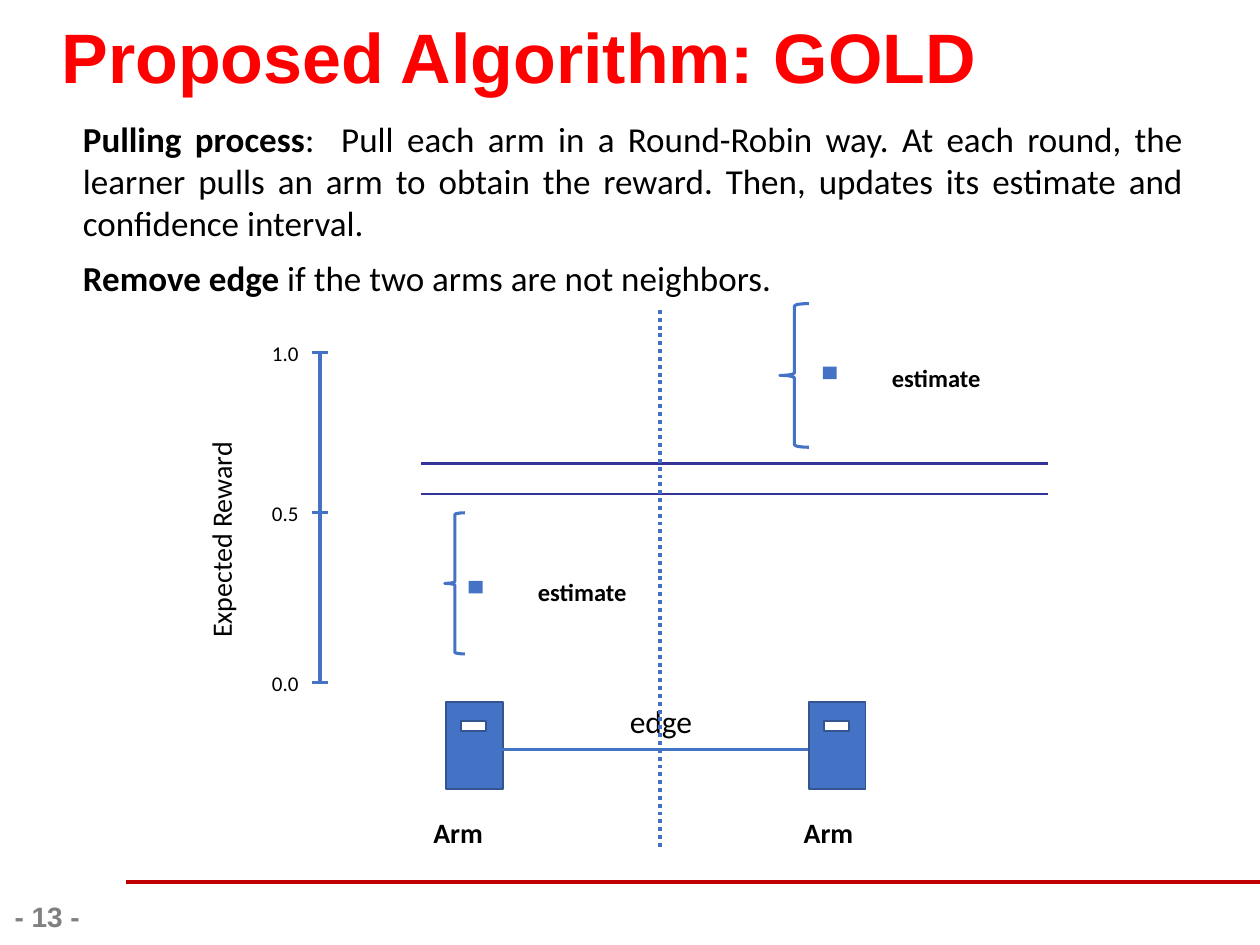
"""Build the slide on the pulling process of the GOLD algorithm."""
from lxml import etree
from pptx import Presentation
from pptx.dml.color import RGBColor
from pptx.enum.dml import MSO_LINE
from pptx.enum.shapes import MSO_CONNECTOR, MSO_SHAPE
from pptx.enum.text import MSO_ANCHOR, MSO_AUTO_SIZE, PP_ALIGN
from pptx.oxml import parse_xml
from pptx.oxml.ns import qn
from pptx.util import Pt

EMU_PER_PX = 9144
RED = RGBColor(0xFF, 0x00, 0x00)
DARK_RED = RGBColor(0xC0, 0x00, 0x00)
BLUE = RGBColor(0x44, 0x72, 0xC4)
EDGE_BLUE = RGBColor(0x32, 0x54, 0x91)
DOT_BLUE = RGBColor(0x43, 0x72, 0xC4)
INDIGO = RGBColor(0x33, 0x33, 0x99)
GRAY = RGBColor(0x80, 0x80, 0x80)
BLACK = RGBColor(0x00, 0x00, 0x00)
WHITE = RGBColor(0xFF, 0xFF, 0xFF)
STRAIGHT = MSO_CONNECTOR.STRAIGHT
RECTANGLE, LEFT_BRACE = MSO_SHAPE.RECTANGLE, MSO_SHAPE.LEFT_BRACE
ROUND_DOT = MSO_LINE.ROUND_DOT
MIDDLE, NO_FIT = MSO_ANCHOR.MIDDLE, MSO_AUTO_SIZE.NONE
LEFT, CENTER, JUSTIFY = PP_ALIGN.LEFT, PP_ALIGN.CENTER, PP_ALIGN.JUSTIFY
TITLE_SHADOW = (
    '<a:effectLst xmlns:a="http://schemas.openxmlformats.org/drawingml/2006/main">'
    '<a:outerShdw blurRad="38100" dist="38100" dir="2700000" algn="tl">'
    '<a:srgbClr val="000000"><a:alpha val="43137"/></a:srgbClr>'
    "</a:outerShdw></a:effectLst>"
)


def px(*lengths):
    return [length * EMU_PER_PX for length in lengths]


class Painter:
    """Hold the text style and the slide being drawn."""

    def __init__(self, slide, font):
        self.slide = slide
        self.font = font

    def add_spans(self, box, spans, align=LEFT, **style):
        para = box.text_frame.paragraphs[0]
        para.alignment = align
        for text, bold in spans:
            span = para.add_run()
            span.text = text
            values = {"name": self.font, "bold": bold, **style}
            color = values.pop("color", BLACK)
            for name, value in values.items():
                setattr(span.font, name, value)
            span.font.color.rgb = color

    def title(self, place, text, **style):
        box = self.slide.shapes.title
        box.left, box.top, box.width, box.height = px(*place)
        frame = {"vertical_anchor": MIDDLE, "auto_size": NO_FIT, "word_wrap": True,
                 "margin_left": 0, "margin_top": 0, "margin_right": 0, "margin_bottom": 0}
        for name, value in frame.items():
            setattr(box.text_frame, name, value)
        self.add_spans(box, [(text, True)], **style)
        properties = box.text_frame.paragraphs[0].runs[0].font._element
        properties.find(qn("a:solidFill")).addnext(parse_xml(TITLE_SHADOW))

    def text(self, place, spans, wrap=False, rotation=0, **style):
        box = self.slide.shapes.add_textbox(*px(*place))
        box.text_frame.word_wrap = wrap
        box.rotation = rotation
        self.add_spans(box, spans, **style)

    def shape(self, kind, place, fill=None, line=None, width=1):
        shape = self.slide.shapes.add_shape(kind, *px(*place))
        shape.shadow.inherit = False
        if fill is None:
            shape.fill.background()
        else:
            shape.fill.solid()
            shape.fill.fore_color.rgb = fill
        if line is None:
            shape.line.fill.background()
        else:
            shape.line.color.rgb = line
            shape.line.width = Pt(width)

    def line(self, ends, color=BLUE, width=1.75, dash=None):
        line = self.slide.shapes.add_connector(STRAIGHT, *px(*ends))
        line.line.color.rgb = color
        line.line.width = Pt(width)
        line.line.dash_style = dash
        etree.SubElement(line._element.spPr, qn("a:effectLst"))


def main():
    deck = Presentation()
    deck.slide_width, deck.slide_height = px(1000, 750)
    page = Painter(deck.slides.add_slide(deck.slide_layouts[5]), "Calibri")

    page.line((100, 700, 1000, 700), DARK_RED, 2)
    page.text((0, 709, 75, 41), [("- 13 -", True)], align=CENTER,
              name="Arial", size=Pt(16), color=GRAY)
    page.title((49, 0, 900, 88), "Proposed Algorithm: GOLD",
               name="Arial", size=Pt(40), color=RED)

    page.text((56, 88, 893, 111), [
        ("Pulling process", True),
        (":  Pull each arm in a Round-Robin way. At each round, the learner pulls an arm "
         "to obtain the reward. Then, updates its estimate and confidence interval.", False),
    ], wrap=True, align=JUSTIFY, size=Pt(20))
    page.text((56, 199, 580, 44), [
        ("Remove edge ", True), ("if the two arms are not neighbors.", False),
    ], size=Pt(20))

    page.line((254, 280, 254, 542), width=2)
    for label, y in (("1.0", 280), ("0.5", 407), ("0.0", 542)):
        page.line((248, y, 260, y))
        page.text((206, y - 15, 42, 30), [(label, False)], size=Pt(12))
    page.text((74, 396, 203, 37), [("Expected Reward", False)],
              wrap=True, rotation=270, size=Pt(16))

    for arm_left, label_left in ((354, 334), (642, 628)):
        page.shape(RECTANGLE, (arm_left, 557, 45, 69), BLUE, EDGE_BLUE)
        page.shape(RECTANGLE, (arm_left + 12, 572, 20, 8), WHITE, EDGE_BLUE)
        page.text((label_left, 642, 65, 37), [("Arm", True)], size=Pt(16))
    page.line((398, 595, 641, 595))
    page.text((490, 552, 76, 40), [("edge", False)], size=Pt(18))

    for brace in ((353, 407, 16, 112), (619, 241, 23, 114)):
        page.shape(LEFT_BRACE, brace, line=BLUE, width=1.75)
    for left, top in ((372, 461), (653, 291)):
        page.shape(RECTANGLE, (left, top, 11, 10), BLUE)
        page.text((left + 45, top - 8, 91, 34), [("estimate", True)], size=Pt(14))

    for y in (368, 392):
        page.line((334, y, 832, y), INDIGO, 1.5)
    page.line((524, 246, 524, 675), DOT_BLUE, 2.25, ROUND_DOT)

    deck.save("out.pptx")


if __name__ == "__main__":
    main()
